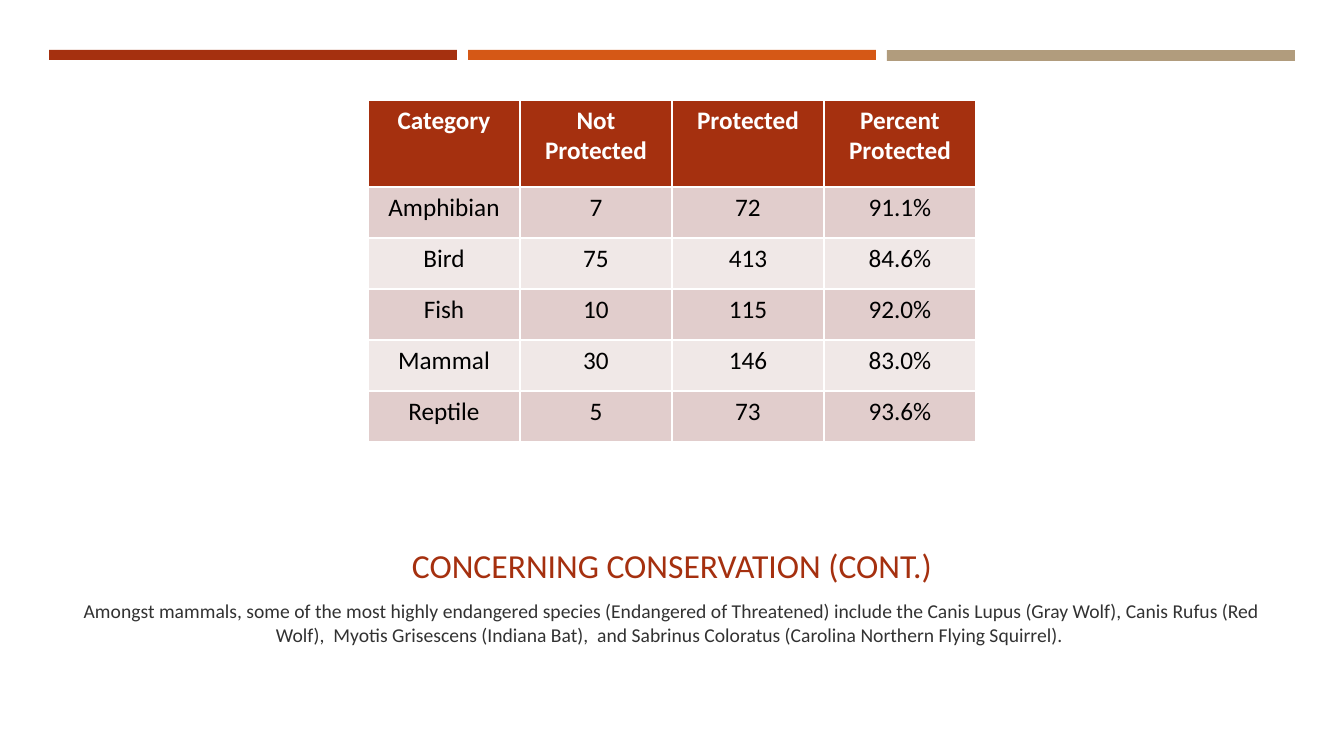
"""Build the conservation slide: three accent bars, a species table, a title and a note."""
from pptx import Presentation
from pptx import util as u
from pptx.dml.color import RGBColor
from pptx.enum import shapes, text

PIXEL = 914400 / 100.8
RUST, ORANGE, TAN = "A5300F", "D55816", "B19C7D"
WHITE, BLACK, CHARCOAL = "FFFFFF", "000000", "323232"
DARK_BAND, LIGHT_BAND = "E1CDCC", "F0E8E7"


def px(*lengths):
    return [u.Emu(round(length * PIXEL)) for length in lengths]


def write(frame, words, size, color, bold=False):
    paragraph = frame.paragraphs[0]
    paragraph.alignment = text.PP_ALIGN.CENTER
    run = paragraph.add_run()
    run.text = words
    run.font.name = "Calibri"
    run.font.size = u.Pt(size)
    run.font.bold = bold
    run.font.color.rgb = RGBColor.from_string(color)
    return paragraph


presentation = Presentation()
presentation.slide_width, presentation.slide_height = px(1344, 756)
slide = presentation.slides.add_slide(presentation.slide_layouts[6])

for index, (color, height) in enumerate([(RUST, 10), (ORANGE, 10), (TAN, 11)]):
    bar = slide.shapes.add_shape(
        shapes.MSO_SHAPE.RECTANGLE, *px(49 + 419 * index, 50, 408, height))
    bar.shadow.inherit = False
    bar.fill.solid()
    bar.fill.fore_color.rgb = RGBColor.from_string(color)
    bar.line.fill.background()

species = [
    ("Category", "Not Protected", "Protected", "Percent Protected"),
    ("Amphibian", "7", "72", "91.1%"),
    ("Bird", "75", "413", "84.6%"),
    ("Fish", "10", "115", "92.0%"),
    ("Mammal", "30", "146", "83.0%"),
    ("Reptile", "5", "73", "93.6%"),
]
table = slide.shapes.add_table(6, 4, *px(368, 100, 608, 342)).table
for row_index, values in enumerate(species):
    header = row_index == 0
    band = RUST if header else DARK_BAND if row_index % 2 else LIGHT_BAND
    table.rows[row_index].height = px(87 if header else 51)[0]
    for column_index, value in enumerate(values):
        cell = table.cell(row_index, column_index)
        cell.fill.solid()
        cell.fill.fore_color.rgb = RGBColor.from_string(band)
        write(cell.text_frame, value, 18, WHITE if header else BLACK, header)

title = slide.shapes.add_textbox(*px(64, 527, 1216, 63)).text_frame
title.word_wrap = True
title.vertical_anchor = text.MSO_ANCHOR.BOTTOM
write(title, "CONCERNING CONSERVATION (CONT.)", 24, RUST)

note = slide.shapes.add_textbox(*px(64, 590, 1216, 65)).text_frame
note.word_wrap = True
note.vertical_anchor = text.MSO_ANCHOR.MIDDLE
paragraph = write(
    note,
    "Amongst mammals, some of the most highly endangered species "
    "(Endangered of Threatened) include the Canis Lupus (Gray Wolf), "
    "Canis Rufus (Red Wolf),  Myotis Grisescens (Indiana Bat),  and "
    "Sabrinus Coloratus (Carolina Northern Flying Squirrel). ",
    14, CHARCOAL)
paragraph.space_before = u.Pt(2.8)
paragraph.space_after = u.Pt(6)

presentation.save("out.pptx")
